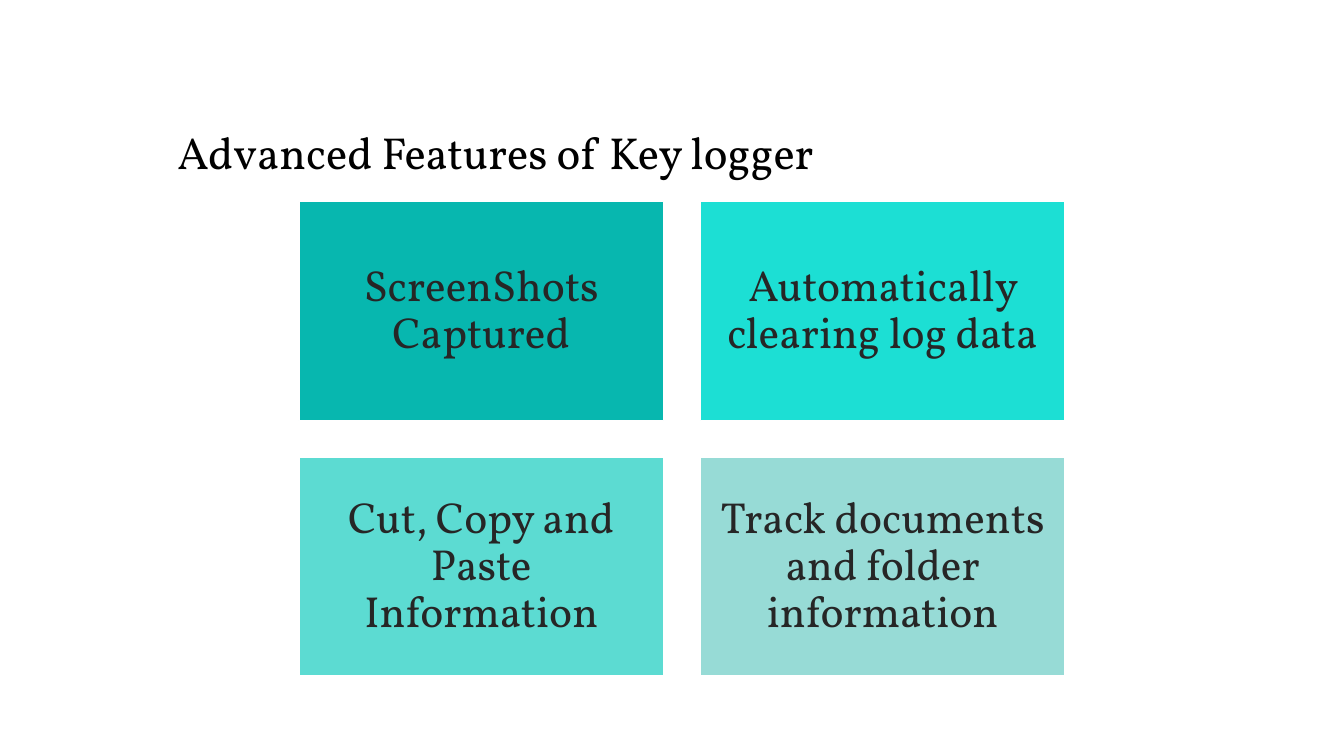
from dataclasses import dataclass

from pptx import Presentation
from pptx.dml.color import RGBColor
from pptx.enum.shapes import MSO_SHAPE
from pptx.enum.text import MSO_ANCHOR, MSO_AUTO_SIZE, PP_ALIGN
from pptx.slide import Slide
from pptx.text.text import TextFrame
from pptx.util import Pt

RECT = MSO_SHAPE.RECTANGLE
LOW, MID = MSO_ANCHOR.BOTTOM, MSO_ANCHOR.MIDDLE
LEFT, CENTER = PP_ALIGN.LEFT, PP_ALIGN.CENTER
FIXED = MSO_AUTO_SIZE.NONE


@dataclass(frozen=True)
class Theme:
    font: str = "Vollkorn"
    white: str = "FFFFFF"
    black: str = "000000"
    ink: str = "262626"
    head: float = 32
    body: float = 31
    lead: float = 0.9


@dataclass(frozen=True)
class Card:
    text: str
    fill: str


THEME = Theme()
CARDS = [
    Card("ScreenShots Captured", "07B7AF"),
    Card("Automatically clearing log data", "1CDFD4"),
    Card("Cut, Copy and Paste Information", "5CDBD2"),
    Card("Track documents and folder information", "97DBD6"),
]
COLS = 2
X, Y = 213.5, 144
WIDE, HIGH = 260.5, 156.3
GAP = 26.2
PAD = 9.3


def rgb(code: str) -> RGBColor:
    return RGBColor.from_string(code)


def write(frame: TextFrame, text: str, size: float, color: str,
          align: PP_ALIGN, anchor: MSO_ANCHOR) -> None:
    frame.word_wrap = True
    frame.auto_size = FIXED
    frame.vertical_anchor = anchor
    para = frame.paragraphs[0]
    para.alignment = align
    para.line_spacing = THEME.lead
    para.space_before = Pt(0)
    run = para.add_run()
    run.text = text
    run.font.name = THEME.font
    run.font.size = Pt(size)
    run.font.color.rgb = rgb(color)


def add_title(slide: Slide, text: str) -> None:
    title = slide.shapes.title
    title.left, title.top = Pt(119.5), Pt(41.8)
    title.width, title.height = Pt(756), Pt(90)
    write(title.text_frame, text, THEME.head, THEME.black, LEFT, LOW)


def add_card(slide: Slide, card: Card, row: int, col: int) -> None:
    left, top = X + col * (WIDE + GAP), Y + row * (HIGH + GAP)
    box = slide.shapes.add_shape(RECT, Pt(left), Pt(top), Pt(WIDE), Pt(HIGH))
    box.shadow.inherit = False
    box.fill.solid()
    box.fill.fore_color.rgb = rgb(card.fill)
    box.line.color.rgb = rgb(THEME.white)
    box.line.width = Pt(1)
    frame = box.text_frame
    frame.margin_left = frame.margin_right = Pt(PAD)
    frame.margin_top = frame.margin_bottom = Pt(PAD)
    write(frame, card.text, THEME.body, THEME.ink, CENTER, MID)


def main() -> None:
    deck = Presentation()
    deck.slide_width, deck.slide_height = Pt(960), Pt(540)
    slide = deck.slides.add_slide(deck.slide_layouts.get_by_name("Title Only"))
    slide.background.fill.solid()
    slide.background.fill.fore_color.rgb = rgb(THEME.white)
    add_title(slide, "Advanced Features of Key logger")
    for index, card in enumerate(CARDS):
        add_card(slide, card, *divmod(index, COLS))
    deck.save("out.pptx")


if __name__ == "__main__":
    main()
